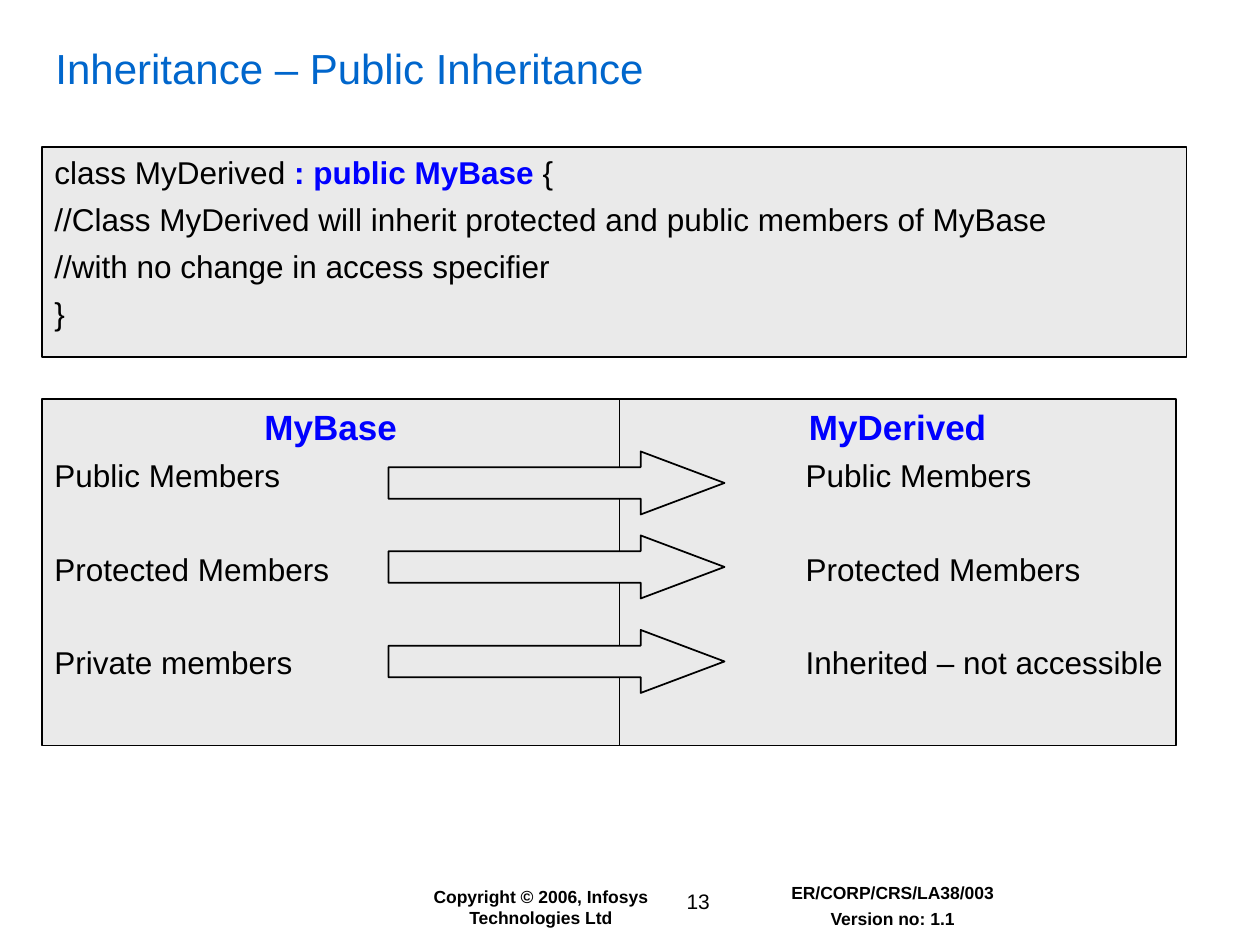
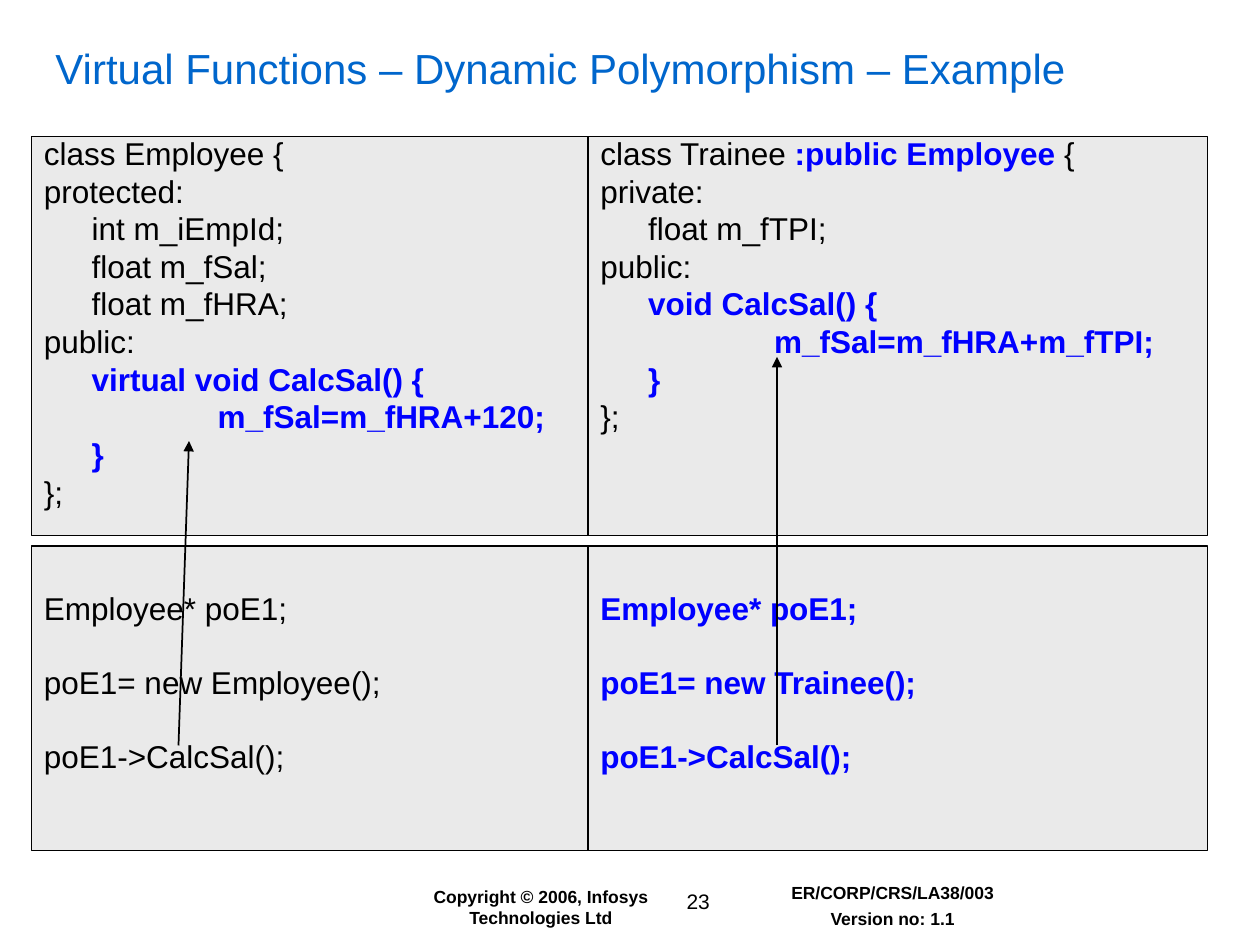
from dataclasses import dataclass

from lxml import etree
from pptx import Presentation
from pptx import util as u
from pptx.dml.color import RGBColor
from pptx.enum import shapes, text
from pptx.oxml.ns import qn

BLACK = RGBColor(0x00, 0x00, 0x00)
TITLE_BLUE = RGBColor(0x00, 0x66, 0xCC)
KEY_BLUE = RGBColor(0x00, 0x00, 0xFF)
PANEL_GREY = RGBColor(0xEA, 0xEA, 0xEA)

FONT = "Arial"
CELL = u.Inches(1) // 12  # the slide is a grid of 120 columns and 90 rows
COLUMNS, ROWS = 120, 90
INDENTS = (0, 0.38, 1.38)  # inches, by nesting level
LINE_GAP = 5.3
CENTER = text.PP_ALIGN.CENTER


@dataclass
class Line:
    """A paragraph; parts between bars are highlighted keywords."""
    content: str
    level: int = 0
    gap: float = LINE_GAP
    size: float = 18
    align: text.PP_ALIGN = text.PP_ALIGN.LEFT
    color: RGBColor = BLACK
    bold: bool = False


def set_format(target, **values):
    for name, value in values.items():
        setattr(target, name, value)


def grid(*cells):
    return [int(cell * CELL) for cell in cells]


def write_lines(shape, lines, spacing=1.0, top=0.05, anchor=text.MSO_ANCHOR.TOP, wrap=True):
    frame = shape.text_frame
    set_format(frame, word_wrap=wrap, vertical_anchor=anchor,
               margin_left=u.Inches(0.1), margin_right=u.Inches(0.1),
               margin_top=u.Inches(top), margin_bottom=u.Inches(0.05))
    for index, line in enumerate(lines):
        paragraph = frame.add_paragraph() if index else frame.paragraphs[0]
        set_format(paragraph, alignment=line.align, line_spacing=spacing,
                   space_before=u.Pt(line.gap if index else 0))
        if line.level:
            paragraph._p.get_or_add_pPr().set("marL", str(u.Inches(INDENTS[line.level])))
        for part_index, part in enumerate(line.content.split("|")):
            if not part:
                continue
            is_key = part_index % 2 == 1
            run = paragraph.add_run()
            run.text = part
            set_format(run.font, name=FONT, size=u.Pt(line.size), bold=is_key or line.bold)
            run.font.color.rgb = KEY_BLUE if is_key else line.color


def add_text(slide, box, lines, **options):
    write_lines(slide.shapes.add_textbox(*grid(*box)), lines, **options)


def add_filled(slide, kind, box, line_width):
    shape = slide.shapes.add_shape(kind, *grid(*box))
    shape.shadow.inherit = False
    shape.fill.solid()
    shape.fill.fore_color.rgb = PANEL_GREY
    shape.line.color.rgb = BLACK
    shape.line.width = u.Pt(line_width)
    return shape


def add_panel(slide, box, lines, **options):
    panel = add_filled(slide, shapes.MSO_SHAPE.RECTANGLE, box, 0.75)
    write_lines(panel, lines, **options)


def add_call_arrow(slide, start, end):
    arrow = slide.shapes.add_connector(shapes.MSO_CONNECTOR.STRAIGHT, *grid(*start, *end))
    arrow.line.color.rgb = BLACK
    arrow.line.width = u.Pt(1)
    etree.SubElement(arrow.line._get_or_add_ln(), qn("a:tailEnd"), type="triangle")
    etree.SubElement(arrow._element.spPr, qn("a:effectLst"))


def add_footer(slide, top, number):
    small = dict(size=10, bold=True, align=CENTER)
    add_text(slide, (38, top, 27, 5.25),
             [Line("Copyright © 2006, Infosys Technologies Ltd", **small)])
    add_text(slide, (60.75, top + 0.25, 11.5, 3.6),
             [Line(str(number), size=12, align=CENTER)], wrap=False)
    add_text(slide, (69, top - 0.35, 32, 5.6),
             [Line("ER/CORP/CRS/LA38/003", **small),
              Line("Version no: 1.1", gap=2.8, **small)])


def start_slide(presentation, title, number):
    slide = presentation.slides.add_slide(presentation.slide_layouts[6])
    add_footer(slide, 83.75, number)
    add_text(slide, (4.1, 3.1, 112.5, 6.7), [Line(title, size=24, color=TITLE_BLUE)],
             anchor=text.MSO_ANCHOR.MIDDLE)
    return slide


def add_access_map(slide, box):
    """Two class panels side by side, with an arrow for each kind of member."""
    left, top, width, height = box
    base_width = 55
    members = [("Public Members", "Public Members", 5),
               ("Protected Members", "Protected Members", 13),
               ("Private members", "Inherited – not accessible", 22)]
    panels = [("MyBase", 0, base_width, 0), ("MyDerived", base_width, width - base_width, 2)]
    for side, (name, offset, panel_width, level) in enumerate(panels):
        lines = [Line(f"|{name}|", size=20, align=CENTER)]
        lines += [Line(member[side], level, 31.6 if index else LINE_GAP)
                  for index, member in enumerate(members)]
        add_panel(slide, (left + offset, top, panel_width, height), lines)
    for *_, row in members:
        arrow = add_filled(slide, shapes.MSO_SHAPE.RIGHT_ARROW,
                           (left + 33, top + row, 32, 6), 1)
        arrow.adjustments[0] = 0.5
        arrow.adjustments[1] = 1.33


def add_class_column(slide, box, class_lines, call_lines, call_start, call_end):
    """A class above the calls that use it; the arrow ends are offsets in the box."""
    left, top, width, height = box
    class_height, call_height = 38, 29
    add_panel(slide, (left, top, width, class_height), class_lines, spacing=0.75)
    add_panel(slide, (left, top + height - call_height, width, call_height),
              [Line(content, gap=26) for content in call_lines], spacing=0.75, top=0.41)
    return [(left + x, top + y) for x, y in (call_start, call_end)]


def build_inheritance_slide(presentation):
    slide = start_slide(presentation, "Inheritance – Public Inheritance", 13)
    add_panel(slide, (4, 14, 109, 20), [
        Line("class MyDerived |: public MyBase| {"),
        Line("//Class MyDerived will inherit protected and public members of MyBase"),
        Line("//with no change in access specifier"),
        Line("}")])
    add_access_map(slide, (4, 38, 108, 33))


def build_polymorphism_slide(presentation):
    slide = start_slide(presentation, "Virtual Functions – Dynamic Polymorphism – Example", 23)
    employee = [
        Line("class Employee {"),
        Line("protected:"),
        Line("int m_iEmpId;", 1),
        Line("float m_fSal;", 1),
        Line("float m_fHRA;", 1),
        Line("public:"),
        Line("|virtual void CalcSal() {|", 1),
        Line("|m_fSal=m_fHRA+120;|", 2),
        Line("|}|", 1),
        Line("};")]
    trainee = [
        Line("class Trainee |:public Employee| {"),
        Line("private:"),
        Line("float m_fTPI;", 1),
        Line("public:"),
        Line("|void CalcSal() {|", 1),
        Line("|m_fSal=m_fHRA+m_fTPI;|", 2),
        Line("|}|", 1),
        Line("};")]
    calls = [
        add_class_column(slide, (3, 13, 53, 68), employee,
                         ["Employee* poE1;", "poE1= new Employee();", "poE1->CalcSal();"],
                         (14, 58), (15, 29)),
        add_class_column(slide, (56, 13, 59, 68), trainee,
                         ["|Employee* poE1;|", "|poE1= new Trainee();|", "|poE1->CalcSal();|"],
                         (18, 58), (18, 21))]
    for start, end in calls:
        add_call_arrow(slide, start, end)


def main():
    presentation = Presentation()
    presentation.slide_width, presentation.slide_height = grid(COLUMNS, ROWS)
    build_inheritance_slide(presentation)
    build_polymorphism_slide(presentation)
    presentation.save("out.pptx")


if __name__ == "__main__":
    main()
